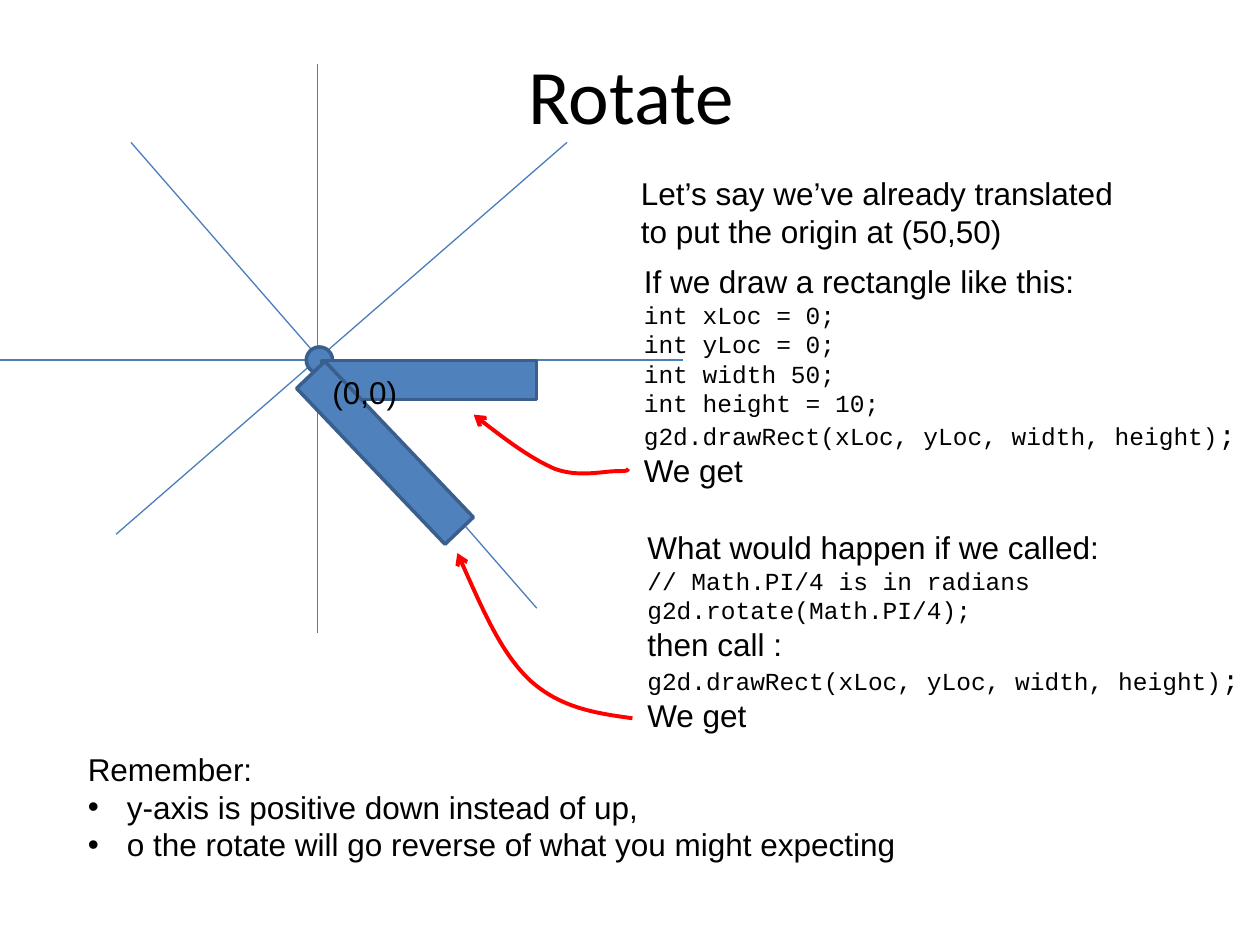
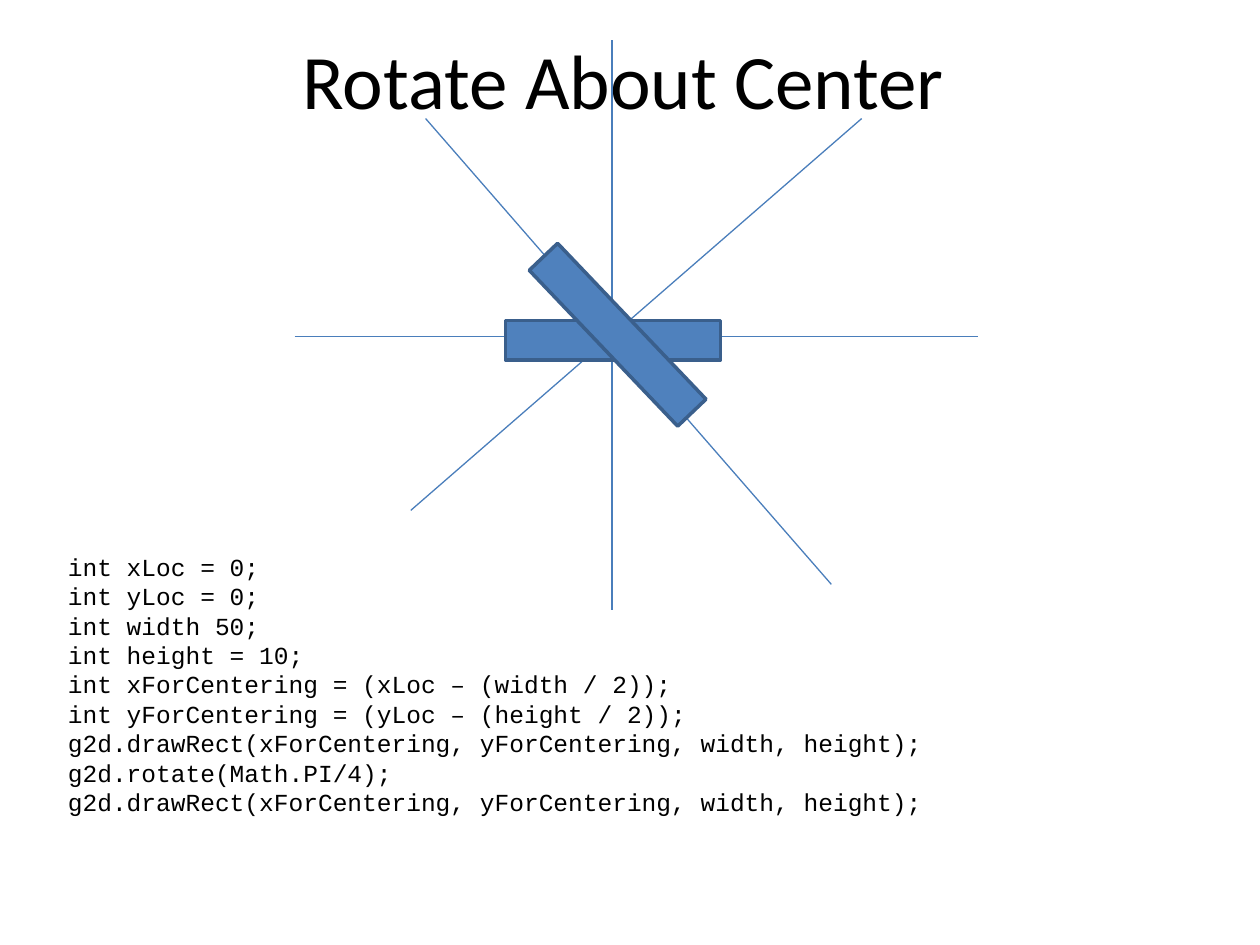
from dataclasses import dataclass

from lxml import etree
from pptx import Presentation
from pptx.dml.color import RGBColor
from pptx.enum.shapes import MSO_CONNECTOR, MSO_SHAPE
from pptx.enum.text import MSO_ANCHOR, MSO_AUTO_SIZE, PP_ALIGN
from pptx.oxml.ns import qn
from pptx.util import Cm, Pt

STRAIGHT = MSO_CONNECTOR.STRAIGHT
OVAL, RECT = MSO_SHAPE.OVAL, MSO_SHAPE.RECTANGLE
MIDDLE, TOP = MSO_ANCHOR.MIDDLE, MSO_ANCHOR.TOP
CENTER = PP_ALIGN.CENTER
NO_FIT = MSO_AUTO_SIZE.NONE
TITLE_ONLY = 5


@dataclass(frozen=True)
class Theme:
    ink: RGBColor = RGBColor(0x00, 0x00, 0x00)
    axis: RGBColor = RGBColor(0x4A, 0x7E, 0xBB)
    fill: RGBColor = RGBColor(0x4F, 0x81, 0xBD)
    edge: RGBColor = RGBColor(0x3A, 0x5F, 0x8C)
    arrow: RGBColor = RGBColor(0xFF, 0x00, 0x00)
    axis_width: float = 0.75
    edge_width: float = 2
    arrow_width: float = 2.25


THEME = Theme()
FONTS = {
    "title": {"name": "Calibri", "size": Pt(44)},
    "prose": {"name": "Arial", "size": Pt(18)},
    "code": {"name": "Courier New", "size": Pt(14)},
    "semicolon": {"name": "Courier New", "size": Pt(16)},
}

# Positions in cm from the origin of the axes
AXES = [
    ((5.03, -4.39), (-4.06, 3.51)),
    ((-3.76, -4.39), (4.42, 5.0)),
    ((0, -5.97), (0, 5.51)),
    ((-6.4, 0), (7.37, 0)),
]
DOT_CENTER, DOT_SIZE = (0.04, 0), 0.53
BAR_SIZE = (4.34, 0.79)
BAR_ANGLE = 46.4

BULLET_INDENT = 0.79

RECT_CODE = ["int xLoc = 0;", "int yLoc = 0;", "int width 50;", "int height = 10;"]
CENTERED_CALL = "g2d.drawRect(xForCentering, yForCentering, width, height);"


def prose(text):
    return [(text, "prose")]


def code(text):
    return [(text, "code")]


DRAW_CALL = code("g2d.drawRect(xLoc, yLoc, width, height)") + [(";", "semicolon")]

TRANSLATED = [
    prose("Let’s say we’ve already translated"),
    prose("to put the origin at (50,50)"),
]
FLAT_STEPS = [
    prose("If we draw a rectangle like this:"),
    *map(code, RECT_CODE),
    DRAW_CALL,
    prose("We get"),
]
ROTATED_STEPS = [
    prose("What would happen if we called:"),
    code("// Math.PI/4 is in radians"),
    code("g2d.rotate(Math.PI/4);"),
    prose("then call :"),
    DRAW_CALL,
    prose("We get"),
]
REMEMBER = [
    prose("Remember:"),
    prose("y-axis is positive down instead of up,"),
    prose("o the rotate will go reverse of what you might expecting"),
]
CENTERED_CODE = [
    *map(code, RECT_CODE),
    code("int xForCentering = (xLoc – (width / 2));"),
    code("int yForCentering = (yLoc – (height / 2));"),
    code(CENTERED_CALL),
    code("g2d.rotate(Math.PI/4);"),
    code(CENTERED_CALL),
]


def cms(*values):
    return [Cm(v) for v in values]


def set_attrs(target, values):
    for name, value in values.items():
        setattr(target, name, value)


def add_run(p, text, style):
    r = p.add_run()
    r.text = text
    set_attrs(r.font, FONTS[style])
    r.font.color.rgb = THEME.ink


def set_line(line, color, width):
    line.color.rgb = color
    line.width = Pt(width)


def add_bullet(p):
    pPr = p._p.get_or_add_pPr()
    indent = Cm(BULLET_INDENT)
    pPr.set("marL", str(indent))
    pPr.set("indent", str(-indent))
    etree.SubElement(pPr, qn("a:buFont")).set("typeface", "Arial")
    etree.SubElement(pPr, qn("a:buChar")).set("char", "•")


def add_text(shapes, box, lines, bullets_from=None):
    tf = shapes.add_textbox(*cms(*box)).text_frame
    set_attrs(tf, {"word_wrap": False, "auto_size": NO_FIT, "vertical_anchor": TOP})
    for i, runs in enumerate(lines):
        p = tf.add_paragraph() if i else tf.paragraphs[0]
        if bullets_from is not None and i >= bullets_from:
            add_bullet(p)
        for text, style in runs:
            add_run(p, text, style)


def add_title_slide(prs, box, title):
    s = prs.slides.add_slide(prs.slide_layouts[TITLE_ONLY])
    sp = s.shapes.title
    set_attrs(sp, dict(zip(("left", "top", "width", "height"), cms(*box))))
    set_attrs(sp.text_frame, {"vertical_anchor": MIDDLE, "auto_size": NO_FIT})
    p = sp.text_frame.paragraphs[0]
    p.alignment = CENTER
    add_run(p, title, "title")
    return s


def add_centered(shapes, kind, center, size, angle=0):
    """Add a filled shape around its centre, turned clockwise by angle."""
    (x, y), (w, h) = center, size
    sp = shapes.add_shape(kind, *cms(x - w / 2, y - h / 2, w, h))
    sp.rotation = angle
    sp.shadow.inherit = False
    sp.fill.solid()
    sp.fill.fore_color.rgb = THEME.fill
    set_line(sp.line, THEME.edge, THEME.edge_width)


def add_axes_diagram(s, origin, flat_center, turned_center, label=None):
    """Draw the axes, the origin dot and both bars around the origin."""
    shapes = s.shapes.add_group_shape().shapes

    def place(point):
        return origin[0] + point[0], origin[1] + point[1]

    for start, end in AXES:
        axis = shapes.add_connector(STRAIGHT, *cms(*place(start), *place(end)))
        set_line(axis.line, THEME.axis, THEME.axis_width)
        etree.SubElement(axis._element.spPr, qn("a:effectLst"))
    add_centered(shapes, OVAL, place(DOT_CENTER), (DOT_SIZE, DOT_SIZE))
    add_centered(shapes, RECT, place(flat_center), BAR_SIZE)
    add_centered(shapes, RECT, place(turned_center), BAR_SIZE, BAR_ANGLE)
    if label:
        add_text(shapes, (*place((0.05, 0.13)), 1.8, 1.02), [prose(label)])


def add_curved_arrow(s, corner, points):
    """Draw a Bézier arrow: a start, then three points for each curve."""
    start, *rest = [cms(*point) for point in points]
    builder = s.shapes.build_freeform(*start)
    builder.add_line_segments(rest, close=False)
    sp = builder.convert_to_shape(*cms(*corner))
    sp.shadow.inherit = False
    sp.fill.background()
    set_line(sp.line, THEME.arrow, THEME.arrow_width)
    spPr = sp._element.spPr
    etree.SubElement(spPr.find(qn("a:ln")), qn("a:tailEnd")).set("type", "arrow")

    outline = next(spPr.iter(qn("a:path")))
    for i, segment in enumerate(outline.findall(qn("a:lnTo"))):
        if i % 3 == 0:
            curve = etree.SubElement(outline, qn("a:cubicBezTo"))
        curve.append(segment[0])
        outline.remove(segment)


def build_rotate(prs):
    s = add_title_slide(prs, (1.3, 0.3, 22.86, 3.18), "Rotate")
    add_text(s.shapes, (12.67, 3.38, 10.01, 1.88), TRANSLATED)
    add_text(s.shapes, (12.73, 5.16, 12.93, 5.41), FLAT_STEPS)
    add_text(s.shapes, (12.8, 10.52, 12.6, 4.98), ROTATED_STEPS)
    add_text(s.shapes, (1.52, 14.99, 22.99, 2.79), REMEMBER, bullets_from=1)
    add_axes_diagram(s, (6.4, 7.26), (2.25, 0.4), (1.36, 1.87), "(0,0)")
    add_curved_arrow(s, (9.55, 8.36), [
        (3.12, 1.09),
        (3.12, 1.12), (3.12, 1.14), (2.87, 1.14),
        (2.62, 1.14), (2.11, 1.27), (1.63, 1.09),
        (1.17, 0.89), (0.58, 0.46), (0, 0),
    ])
    add_curved_arrow(s, (9.22, 11.15), [
        (3.53, 3.33),
        (2.79, 3.23), (2.08, 3.12), (1.47, 2.57),
        (0.89, 2.03), (0.46, 1.02), (0, 0),
    ])


def build_rotate_about_center(prs):
    s = add_title_slide(prs, (1.14, 0, 22.86, 3.18), "Rotate About Center")
    add_text(s.shapes, (1.12, 11, 18.64, 6.12), CENTERED_CODE)
    add_axes_diagram(s, (12.34, 6.78), (0.02, 0.08), (0.11, -0.03))


def main():
    prs = Presentation()
    prs.slide_width, prs.slide_height = cms(25.4, 19.05)
    build_rotate(prs)
    build_rotate_about_center(prs)
    prs.save("out.pptx")


if __name__ == "__main__":
    main()
